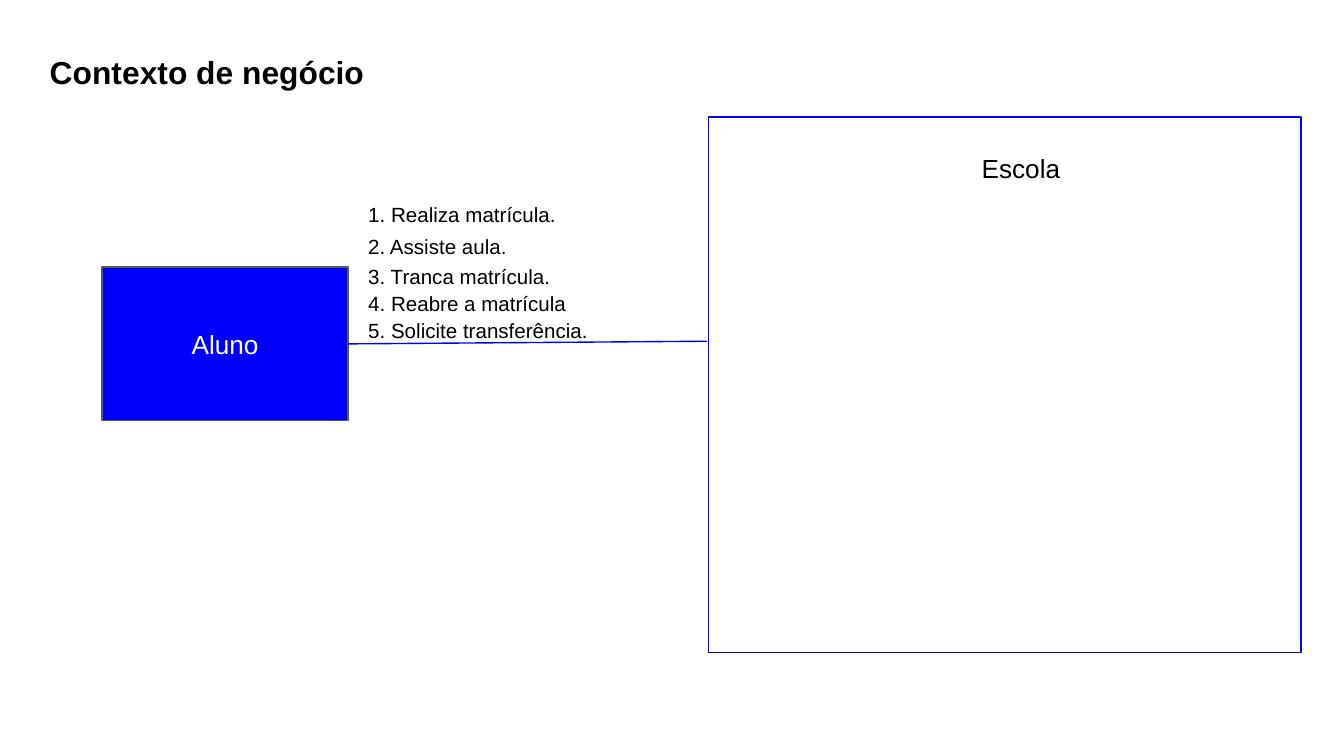
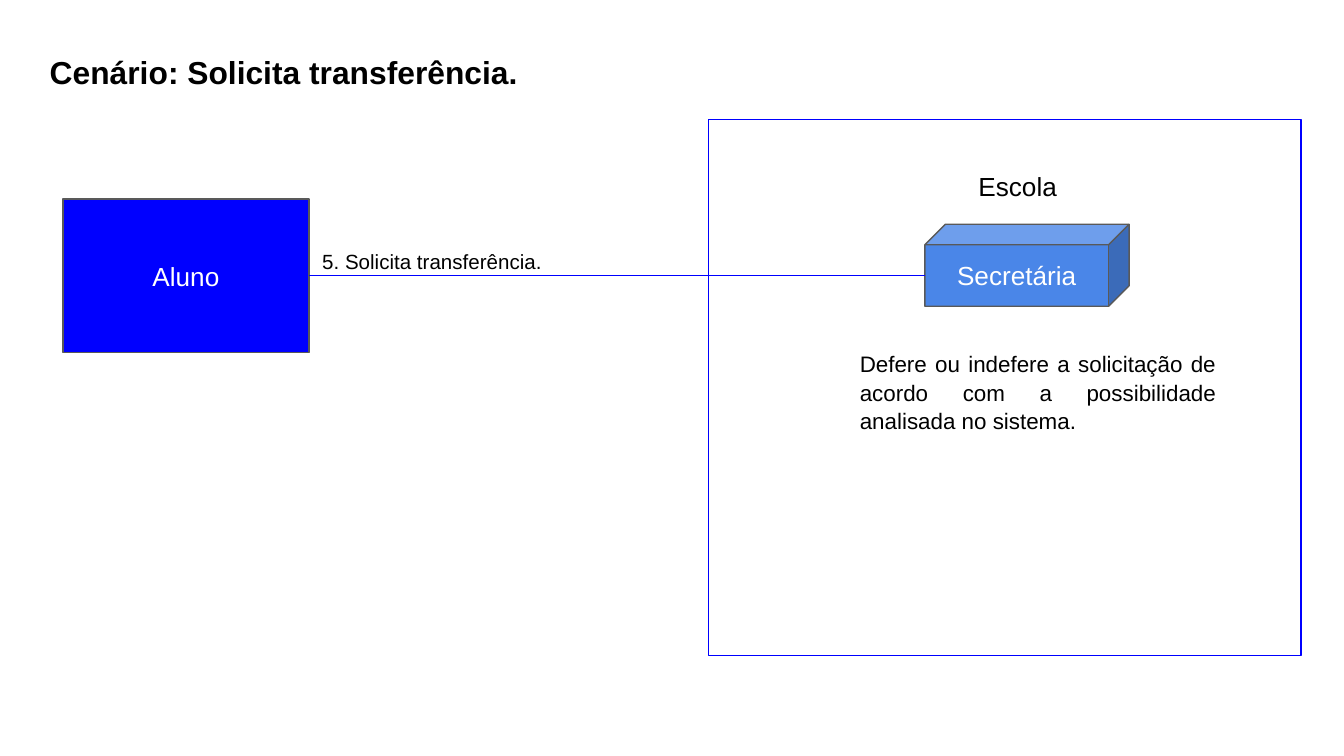
"""Build two slides on the business context of a school and its transfer scenario."""
from typing import NamedTuple

from lxml.etree import SubElement
from pptx import Presentation
from pptx.dml.color import RGBColor
from pptx.enum.shapes import MSO_CONNECTOR, MSO_SHAPE
from pptx.enum.text import MSO_ANCHOR, MSO_AUTO_SIZE, PP_ALIGN
from pptx.oxml.ns import qn
from pptx.shapes.autoshape import Shape
from pptx.slide import Slide
from pptx.util import Cm, Pt

FONT = "Arial"
BLACK = RGBColor(0x00, 0x00, 0x00)
WHITE = RGBColor(0xFF, 0xFF, 0xFF)
BLUE = RGBColor(0x00, 0x00, 0xFF)
LIGHT_BLUE = RGBColor(0x4A, 0x86, 0xE8)
GREY = RGBColor(0x59, 0x59, 0x59)
LINE_WIDTH = Pt(0.75)
INSET = Cm(0.25)
RIGHT_SIDE = 3
STEP_WIDTH, STEP_HEIGHT = 6.38, 1.17


class Area(NamedTuple):
    """Position and size in centimetres."""
    left: float
    top: float
    width: float
    height: float


class Box(NamedTuple):
    """A filled and outlined shape with an optional centred label."""
    area: Area
    fill: RGBColor
    line: RGBColor
    label: str = ""
    preset: MSO_SHAPE = MSO_SHAPE.RECTANGLE


class Caption(NamedTuple):
    """A piece of free text."""
    text: str
    area: Area
    size: float
    align: PP_ALIGN = PP_ALIGN.LEFT
    spacing: float = 1.0


class Scene(NamedTuple):
    """The contents of one slide; the link runs from the student box to link_end."""
    title: str
    title_width: float
    school: Box
    student: Box
    link_end: tuple[float, float]
    captions: list[Caption]
    actors: list[Box]


def school_box(top: float) -> Box:
    """Describe the school frame."""
    return Box(Area(13.39, top, 11.2, 10.13), WHITE, BLUE)


def student_box(left: float, top: float) -> Box:
    """Describe the student box."""
    return Box(Area(left, top, 4.65, 2.9), BLUE, GREY, "Aluno")


def step(text: str, left: float, top: float) -> Caption:
    """Describe the text of one numbered step."""
    return Caption(text, Area(left, top, STEP_WIDTH, STEP_HEIGHT), 11)


STEPS = [
    ("Realiza matrícula.", 3.56),
    ("Assiste aula.", 4.17),
    ("Tranca matrícula.", 4.75),
    ("Reabre a matrícula", 5.26),
    ("Solicite transferência.", 5.77),
]

SCENES = [
    Scene(
        "Contexto de negócio", 7.14, school_box(2.21), student_box(1.93, 5.05), (13.36, 6.45),
        [step(f"{number}. {text}", 6.71, top) for number, (text, top) in enumerate(STEPS, 1)]
        + [Caption("Escola", Area(17.35, 2.64, 3.89, 0.94), 14, PP_ALIGN.CENTER)],
        [],
    ),
    Scene(
        "Cenário: Solicita transferência.", 13.69, school_box(2.26), student_box(1.19, 3.76),
        (17.48, 5.21),
        [
            step("5. Solicita transferência.", 5.84, 4.45),
            Caption("Escola", Area(18.24, 2.97, 2.06, 1.75), 14),
            Caption(
                "Defere ou indefere a solicitação de acordo com a possibilidade analisada no sistema.",
                Area(16, 6.35, 7.24, 2.03), 12, PP_ALIGN.JUSTIFY, 1.05,
            ),
        ],
        [Box(Area(17.48, 4.24, 3.86, 1.55), LIGHT_BLUE, GREY, "Secretária", MSO_SHAPE.CUBE)],
    ),
]


def write(shape: Shape, text: str, size: float, color: RGBColor, align: PP_ALIGN,
          anchor: MSO_ANCHOR = MSO_ANCHOR.TOP, bold: bool = False, spacing: float = 1.0) -> None:
    """Fill a shape with one formatted paragraph."""
    frame = shape.text_frame
    frame.text = text
    frame.word_wrap = True
    frame.auto_size = MSO_AUTO_SIZE.NONE
    frame.vertical_anchor = anchor
    frame.margin_left = frame.margin_right = frame.margin_top = frame.margin_bottom = INSET
    paragraph = frame.paragraphs[0]
    paragraph.alignment = align
    paragraph.line_spacing = spacing
    paragraph.font.name = FONT
    paragraph.font.size = Pt(size)
    paragraph.font.bold = bold
    paragraph.font.color.rgb = color


def set_title(slide: Slide, text: str, width: float) -> None:
    """Place and format the title placeholder."""
    title = slide.shapes.title
    title.left, title.top, title.width, title.height = map(Cm, Area(0.69, 0.74, width, 1.55))
    write(title, text, 17, BLACK, PP_ALIGN.LEFT, bold=True)


def add_box(slide: Slide, box: Box) -> Shape:
    """Draw a box with its label."""
    shape = slide.shapes.add_shape(box.preset, *map(Cm, box.area))
    shape.shadow.inherit = False
    shape.fill.solid()
    shape.fill.fore_color.rgb = box.fill
    shape.line.color.rgb = box.line
    shape.line.width = LINE_WIDTH
    if box.label:
        write(shape, box.label, 14, WHITE, PP_ALIGN.CENTER, MSO_ANCHOR.MIDDLE)
    return shape


def add_caption(slide: Slide, caption: Caption) -> None:
    """Draw a piece of free text."""
    shape = slide.shapes.add_textbox(*map(Cm, caption.area))
    write(shape, caption.text, caption.size, BLACK, caption.align, spacing=caption.spacing)


def add_link(slide: Slide, start: Shape, end: tuple[float, float]) -> None:
    """Draw a line from the right side of a box to a point."""
    end_x, end_y = map(Cm, end)
    connector = slide.shapes.add_connector(
        MSO_CONNECTOR.STRAIGHT, start.left + start.width, start.top + start.height // 2, end_x, end_y)
    connector.begin_connect(start, RIGHT_SIDE)
    connector.line.color.rgb = BLUE
    connector.line.width = LINE_WIDTH
    SubElement(connector.element.spPr, qn("a:effectLst"))


def add_scene(presentation: Presentation, scene: Scene) -> None:
    """Add one slide with its title, boxes, texts and link."""
    slide = presentation.slides.add_slide(presentation.slide_layouts.get_by_name("Title Only"))
    set_title(slide, scene.title, scene.title_width)
    add_box(slide, scene.school)
    student = add_box(slide, scene.student)
    for caption in scene.captions:
        add_caption(slide, caption)
    for actor in scene.actors:
        add_box(slide, actor)
    add_link(slide, student, scene.link_end)


def main() -> None:
    """Build and save the presentation."""
    presentation = Presentation()
    presentation.slide_width = Cm(25.4)
    presentation.slide_height = Cm(14.29)
    for scene in SCENES:
        add_scene(presentation, scene)
    presentation.save("out.pptx")


if __name__ == "__main__":
    main()
